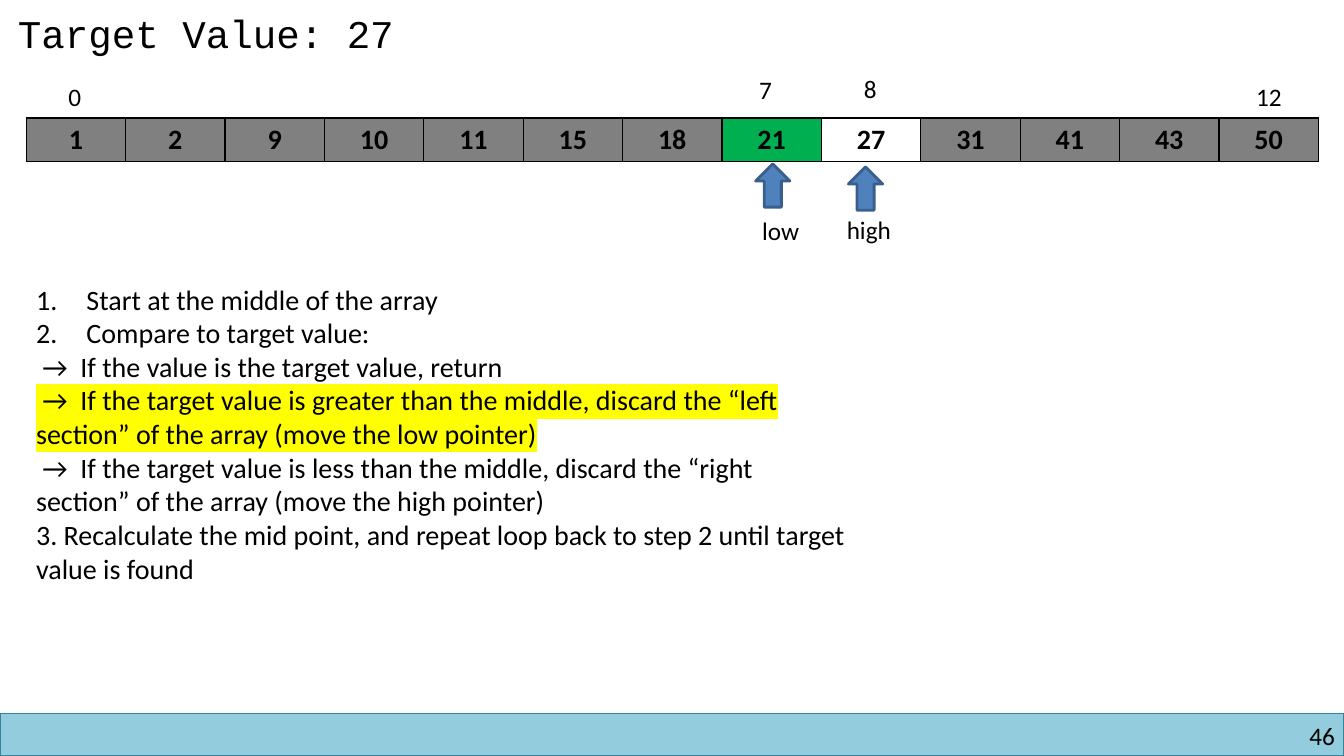
from dataclasses import dataclass

from lxml import etree
from pptx import Presentation
from pptx.dml.color import RGBColor
from pptx.enum.shapes import MSO_SHAPE
from pptx.enum.text import MSO_AUTO_SIZE, PP_ALIGN
from pptx.oxml import parse_xml
from pptx.oxml.ns import nsdecls, qn
from pptx.util import Inches, Pt

RECT = MSO_SHAPE.RECTANGLE
ARROW = MSO_SHAPE.RIGHT_ARROW
GROW = MSO_AUTO_SIZE.SHAPE_TO_FIT_TEXT
LEFT, CENTER, RIGHT = PP_ALIGN.LEFT, PP_ALIGN.CENTER, PP_ALIGN.RIGHT


@dataclass(frozen=True)
class Theme:
    ink: str = "000000"
    gone: str = "808080"
    low: str = "00B050"
    high: str = "FFFFFF"
    mark: str = "FFFF00"
    arrow: str = "4F81BD"
    edge: str = "3A5F8C"
    bar: str = "93CDDD"
    rim: str = "31859C"
    body: str = "Calibri"
    code: str = "Courier New"
    title: int = 28
    text: int = 20
    label: int = 18


theme = Theme()


def style(para, size, face=theme.body, align=LEFT):
    para.alignment = align
    para.font.size = Pt(size)
    para.font.name = face
    para.font.color.rgb = RGBColor.from_string(theme.ink)


def add_box(shape, fill, line, width):
    shape.shadow.inherit = False
    shape.fill.solid()
    shape.fill.fore_color.rgb = RGBColor.from_string(fill)
    shape.line.color.rgb = RGBColor.from_string(line)
    shape.line.width = Pt(width)


deck = Presentation()
deck.slide_width, deck.slide_height = Inches(13.33), Inches(7.5)
slide = deck.slides.add_slide(deck.slide_layouts[6])
shapes = slide.shapes

# Footer bar and slide number
bar = shapes.add_shape(RECT, 0, Inches(7.08), Inches(13.33), Inches(0.42))
add_box(bar, theme.bar, theme.rim, 1)
frame = shapes.add_textbox(Inches(10.17), Inches(7.15), Inches(3.07), Inches(0.3)).text_frame
frame.margin_left = frame.margin_right = frame.margin_top = frame.margin_bottom = 0
frame.word_wrap = True
frame.text = "46"
style(frame.paragraphs[0], theme.label, align=RIGHT)

# Array of values
values = [1, 2, 9, 10, 11, 15, 18, 21, 27, 31, 41, 43, 50]
fills = {21: theme.low, 27: theme.high}
table = shapes.add_table(1, len(values), Inches(0.26), Inches(1.17),
                         Inches(12.82), Inches(0.43)).table
table.first_row = table.horz_banding = False
for col, value in enumerate(values):
    table.columns[col].width = Inches(12.82 / len(values))
    cell = table.cell(0, col)
    cell.text = str(value)
    para = cell.text_frame.paragraphs[0]
    style(para, theme.text, align=CENTER)
    para.font.bold = True
    props = cell._tc.get_or_add_tcPr()
    for side in ("lnL", "lnR", "lnT", "lnB"):
        props.append(parse_xml(
            f'<a:{side} {nsdecls("a")} w="12700"><a:solidFill>'
            f'<a:srgbClr val="{theme.ink}"/></a:solidFill></a:{side}>'))
    cell.fill.solid()
    cell.fill.fore_color.rgb = RGBColor.from_string(fills.get(value, theme.gone))

# Title, index labels and pointer names
labels = [
    ("Target Value: 27", 0.08, 0.04, 3.96, 0.57, theme.title, theme.code),
    ("0", 0.58, 0.76, 0.34, 0.4, theme.label, theme.body),
    ("7", 7.43, 0.69, 0.34, 0.4, theme.label, theme.body),
    ("8", 8.47, 0.68, 0.34, 0.4, theme.label, theme.body),
    ("12", 12.36, 0.76, 0.48, 0.4, theme.label, theme.body),
    ("low", 7.46, 2.09, 0.58, 0.4, theme.label, theme.body),
    ("high", 8.3, 2.08, 0.68, 0.4, theme.label, theme.body),
]
for text, x, y, w, h, size, face in labels:
    frame = shapes.add_textbox(Inches(x), Inches(y), Inches(w), Inches(h)).text_frame
    frame.word_wrap = False
    frame.auto_size = GROW
    frame.text = text
    style(frame.paragraphs[0], size, face)

# Pointer arrows
for x, y in ((7.45, 1.67), (8.37, 1.7)):
    arrow = shapes.add_shape(ARROW, Inches(x), Inches(y), Inches(0.43), Inches(0.34))
    arrow.rotation = 270
    add_box(arrow, theme.arrow, theme.edge, 2)

# Steps: text, numbered, highlighted
steps = [
    ("Start at the middle of the array", True, False),
    ("Compare to target value:", True, False),
    (" →  If the value is the target value, return", False, False),
    (" →  If the target value is greater than the middle, discard the “left section” "
     "of the array (move the low pointer)", False, True),
    (" →  If the target value is less than the middle, discard the “right section” "
     "of the array (move the high pointer)", False, False),
    ("3. Recalculate the mid point, and repeat loop back to step 2 until target "
     "value is found", False, False),
]
frame = shapes.add_textbox(Inches(0.26), Inches(2.75), Inches(8.24), Inches(3.47)).text_frame
frame.word_wrap = True
for row, (text, number, marked) in enumerate(steps):
    para = frame.add_paragraph() if row else frame.paragraphs[0]
    run = para.add_run()
    run.text = text
    style(para, theme.text)
    if number:
        props = para._p.get_or_add_pPr()
        props.set("marL", str(Inches(0.5)))
        props.set("indent", str(-Inches(0.5)))
        bullet = etree.Element(qn("a:buAutoNum"), type="arabicPeriod")
        props.insert(0, bullet)
    if marked:
        glow = etree.SubElement(run._r.get_or_add_rPr(), qn("a:highlight"))
        etree.SubElement(glow, qn("a:srgbClr"), val=theme.mark)

deck.save("out.pptx")
